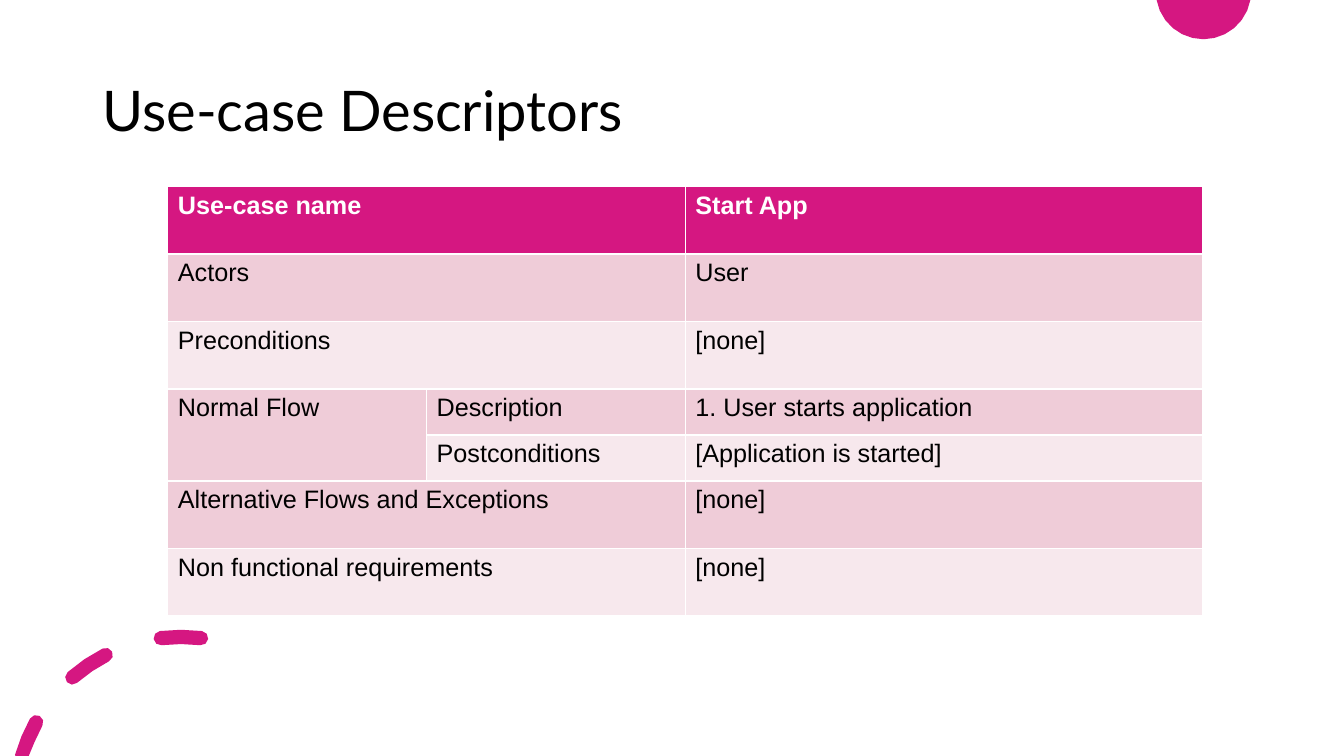
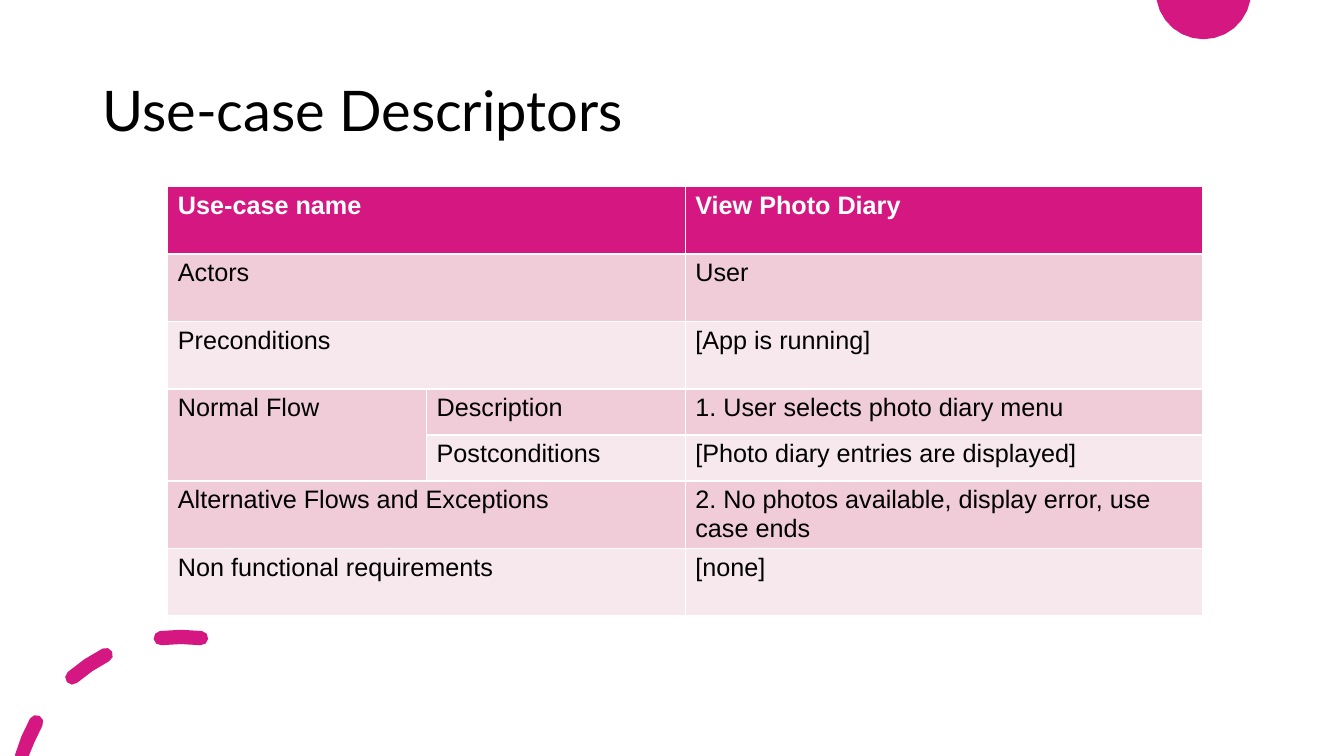
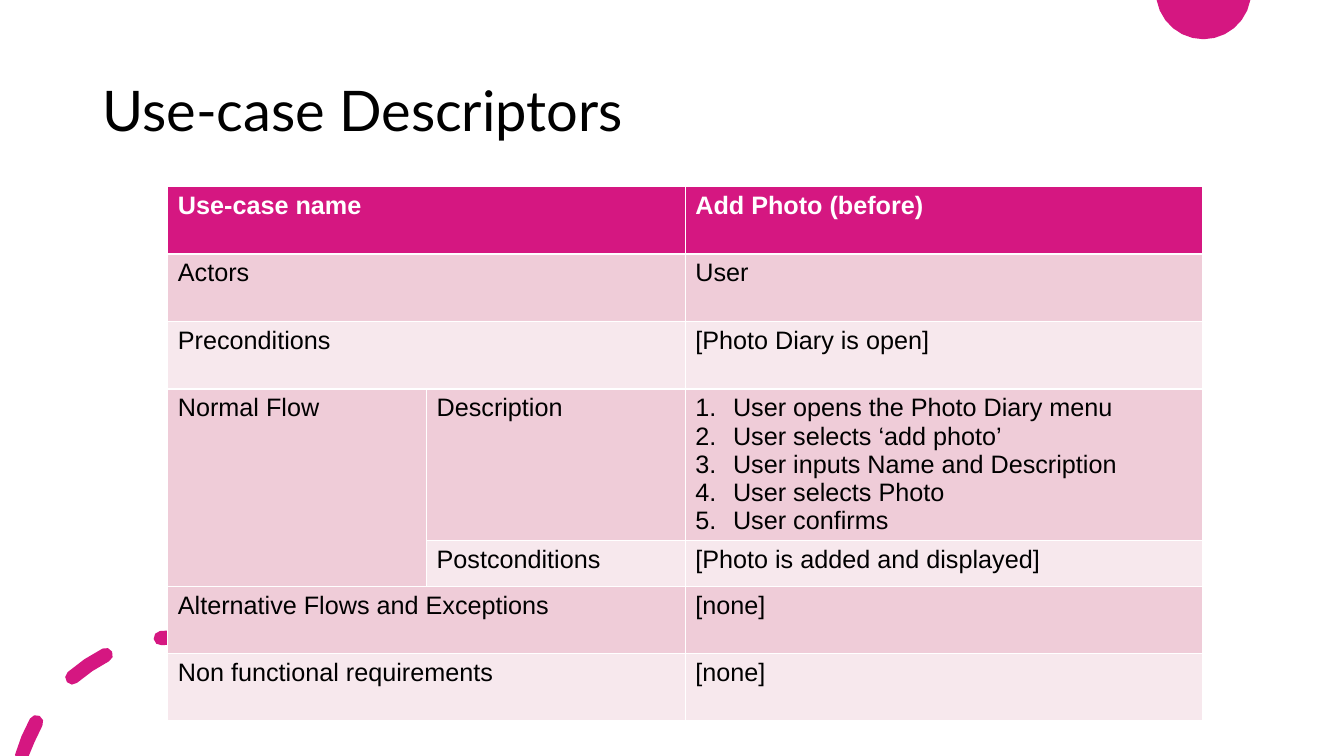
from math import cos, radians, sin

from lxml import etree
from pptx import Presentation
from pptx import util as u
from pptx.dml.color import RGBColor
from pptx.enum import text
from pptx.oxml.ns import qn

COLOURS = {
    "accent": "D51781",
    "band_dark": "EFCCD8",
    "band_light": "F7E8ED",
    "white": "FFFFFF",
    "ink": "000000",
}
TITLE_FONT = {"name": "Lato", "size": u.Pt(40), "bold": False}
HEADER_FONT = {"name": "Arial", "size": u.Pt(18), "bold": True}
BODY_FONT = {**HEADER_FONT, "bold": False}
TITLE_BOX = {"left": 2.33, "top": 1.02, "width": 29.21, "height": 3.68}

SLIDE_WIDTH, SLIDE_HEIGHT = 33.87, 19.05
TABLE_LEFT, TABLE_TOP = 4.23, 4.7
COLUMN_WIDTHS = [6.52, 6.52, 13.04]
ROW_HEIGHT, FLOW_ROW_HEIGHT = 1.7, 1.16
FLOW_ROW = 3

ROW_LABELS = [
    ("Use-case name", ""),
    ("Actors", ""),
    ("Preconditions", ""),
    ("Normal Flow", "Description"),
    ("", "Postconditions"),
    ("Alternative Flows and Exceptions", ""),
    ("Non functional requirements", ""),
]
# A list as a value becomes a numbered list.
USE_CASES = [
    ["Start App", "User", "[none]", "1. User starts application",
     "[Application is started]", "[none]", "[none]"],
    ["View Photo Diary", "User", "[App is running]",
     "1. User selects photo diary menu",
     "[Photo diary entries are displayed]",
     "2. No photos available, display error, use case ends", "[none]"],
    ["Add Photo (before)", "User", "[Photo Diary is open]",
     ["User opens the Photo Diary menu", "User selects ‘add photo’",
      "User inputs Name and Description", "User selects Photo",
      "User confirms"],
     "[Photo is added and displayed]", "[none]", "[none]"],
]


def rgb(colour):
    return RGBColor.from_string(COLOURS[colour])


def format_font(font, values, colour):
    for attribute, value in values.items():
        setattr(font, attribute, value)
    font.color.rgb = rgb(colour)


def arc_points(centre, radius, start, end, steps=4):
    """Points in cm along an arc; degrees run clockwise from the right."""
    angles = [radians(start + (end - start) * i / steps) for i in range(steps + 1)]
    return [(centre[0] + radius * cos(a), centre[1] + radius * sin(a)) for a in angles]


def dash_outline(centre, radius, half_width, start, end):
    """Outline of a round-capped arc stroke, cut at the slide's bottom edge."""
    start_cap, end_cap = (arc_points(centre, radius, angle, angle, 1)[0]
                          for angle in (start, end))
    outline = (arc_points(centre, radius + half_width, start, end, 2)
               + arc_points(end_cap, half_width, end, end + 180)[1:]
               + arc_points(centre, radius - half_width, end, start, 2)[1:]
               + arc_points(start_cap, half_width, start + 180, start + 360)[1:-1])
    return [(x, min(y, SLIDE_HEIGHT)) for x, y in outline]


def add_ornament(slide, outlines):
    """One accent-coloured freeform with a closed contour for each outline."""
    contours = [[(u.Cm(x), u.Cm(y)) for x, y in outline] for outline in outlines]
    builder = slide.shapes.build_freeform(*contours[0][0], scale=1.0)
    for contour in contours:
        if contour is not contours[0]:
            builder.move_to(*contour[0])
        builder.add_line_segments(contour[1:], close=True)
    ornament = builder.convert_to_shape()
    ornament.shadow.inherit = False
    ornament.fill.solid()
    ornament.fill.fore_color.rgb = rgb("accent")
    ornament.line.fill.background()
    return ornament


def decorate_layout(layout, slide):
    """Draw the ornaments on a slide, then move them to the shared layout."""
    half_disc = arc_points((30.33, -0.21), 1.2, 10, 170, 12)
    dashes = [dash_outline((4.56, 20.22), 4.17, 0.18, start, end)
              for start, end in [(196, 209), (229, 243), (263, 277)]]
    for outlines in ([half_disc], dashes):
        layout.shapes.element.append(add_ornament(slide, outlines).element)


def set_title(slide, wording):
    title = slide.shapes.title
    for side, length in TITLE_BOX.items():
        setattr(title, side, u.Cm(length))
    title.text_frame.text = wording
    title.text_frame.vertical_anchor = text.MSO_ANCHOR.MIDDLE
    paragraph = title.text_frame.paragraphs[0]
    paragraph.alignment = text.PP_ALIGN.LEFT
    paragraph.line_spacing = 0.9
    format_font(paragraph.runs[0].font, TITLE_FONT, "ink")


def number_paragraph(paragraph):
    properties = paragraph._p.get_or_add_pPr()
    indent = u.Cm(0.95)
    properties.set("marL", str(indent))
    properties.set("indent", str(-indent))
    etree.SubElement(properties, qn("a:buAutoNum"), type="arabicPeriod")


def fill_cell(cell, row, content):
    band = "band_dark" if row % 2 else "band_light"
    cell.fill.solid()
    cell.fill.fore_color.rgb = rgb(band if row else "accent")
    if not content:
        return
    numbered = isinstance(content, list)
    cell.text = "\n".join(content) if numbered else content
    for paragraph in cell.text_frame.paragraphs:
        if numbered:
            number_paragraph(paragraph)
        if row == 0:
            format_font(paragraph.runs[0].font, HEADER_FONT, "white")
        else:
            format_font(paragraph.runs[0].font, BODY_FONT, "ink")


def add_descriptor(slide, values):
    """Use-case table; its default style supplies the white rules."""
    heights = [FLOW_ROW_HEIGHT if row in (FLOW_ROW, FLOW_ROW + 1) else ROW_HEIGHT
               for row in range(len(values))]
    descriptor = slide.shapes.add_table(
        len(values), len(COLUMN_WIDTHS), u.Cm(TABLE_LEFT), u.Cm(TABLE_TOP),
        u.Cm(sum(COLUMN_WIDTHS)), u.Cm(sum(heights))).table
    for column, width in zip(descriptor.columns, COLUMN_WIDTHS):
        column.width = u.Cm(width)
    for row, (labels, value) in enumerate(zip(ROW_LABELS, values)):
        descriptor.rows[row].height = u.Cm(heights[row])
        for column, content in enumerate((*labels, value)):
            fill_cell(descriptor.cell(row, column), row, content)
        if not labels[1]:
            descriptor.cell(row, 0).merge(descriptor.cell(row, 1))
    descriptor.cell(FLOW_ROW, 0).merge(descriptor.cell(FLOW_ROW + 1, 0))


def main():
    deck = Presentation()
    deck.slide_width, deck.slide_height = u.Cm(SLIDE_WIDTH), u.Cm(SLIDE_HEIGHT)
    layout = deck.slide_layouts.get_by_name("Title Only")
    for values in USE_CASES:
        slide = deck.slides.add_slide(layout)
        set_title(slide, "Use-case Descriptors")
        add_descriptor(slide, values)
    decorate_layout(layout, deck.slides[0])
    deck.save("out.pptx")


if __name__ == "__main__":
    main()
